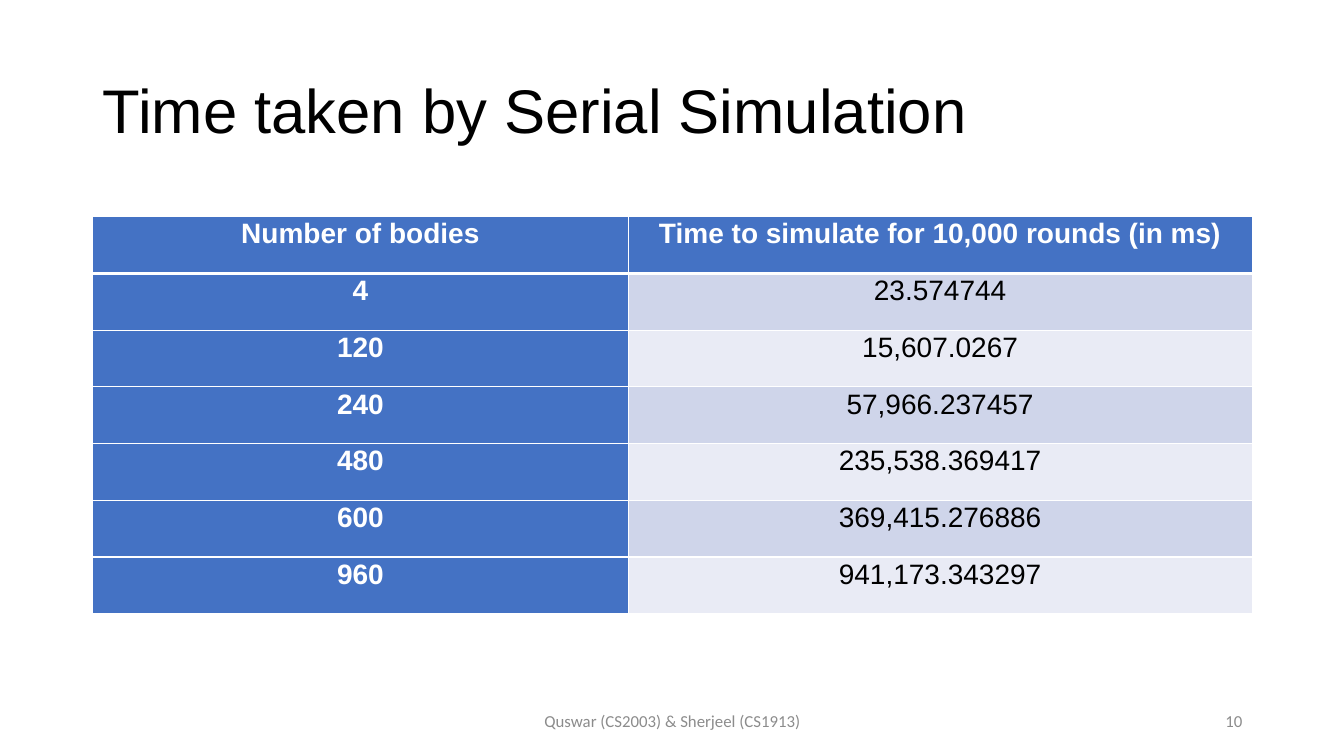
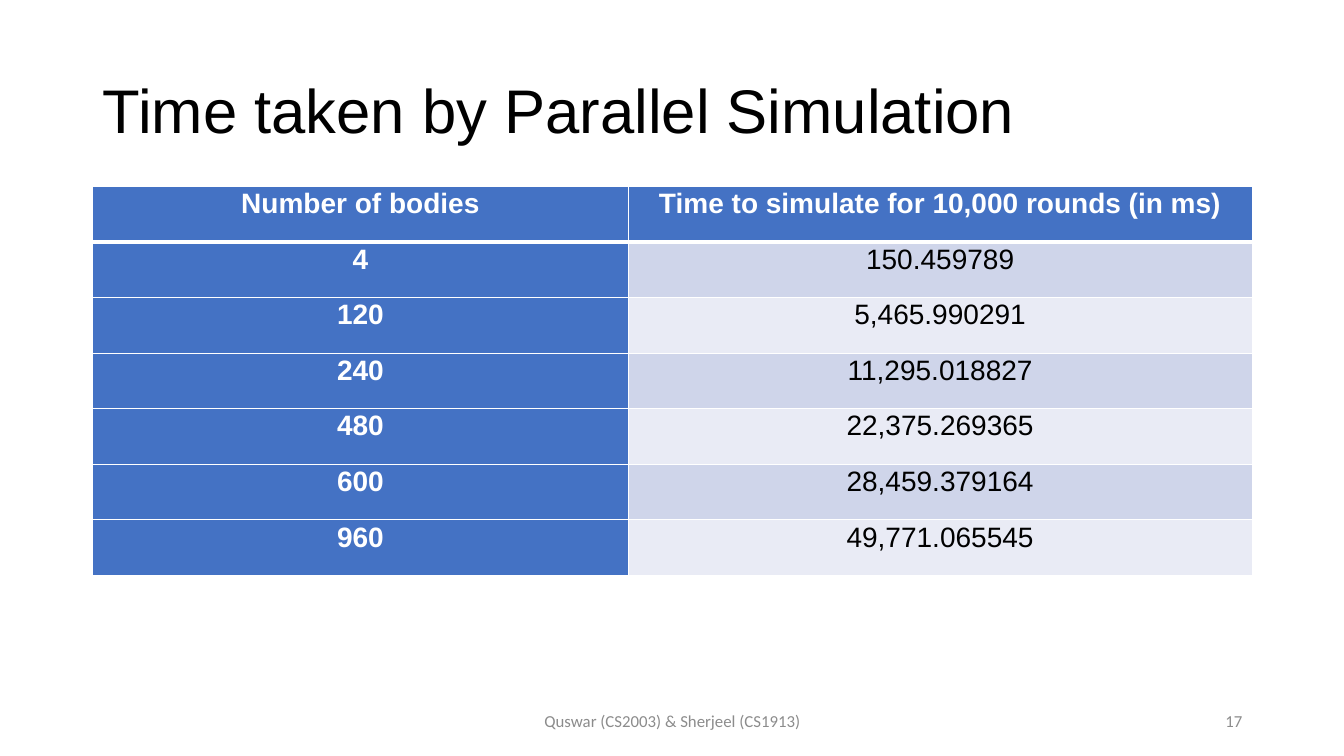
from lxml.etree import SubElement
from pptx import Presentation
from pptx.dml.color import RGBColor
from pptx.enum.text import MSO_ANCHOR, PP_ALIGN
from pptx.oxml.ns import qn
from pptx.util import Inches, Pt

HEADINGS = ("Number of bodies", "Time to simulate for 10,000 rounds (in ms)")
BODY_COUNTS = ("4", "120", "240", "480", "600", "960")
SIMULATIONS = [
    {
        "title": "Time taken by Serial Simulation",
        "number": "10",
        "table_top": 2.15,
        "table_height": 3.94,
        "times": ("23.574744", "15,607.0267", "57,966.237457",
                  "235,538.369417", "369,415.276886", "941,173.343297"),
    },
    {
        "title": "Time taken by Parallel Simulation",
        "number": "17",
        "table_top": 1.85,
        "table_height": 3.86,
        "times": ("150.459789", "5,465.990291", "11,295.018827",
                  "22,375.269365", "28,459.379164", "49,771.065545"),
    },
]
AUTHORS = "Quswar (CS2003) & Sherjeel (CS1913)"

BLACK, WHITE, GREY = "000000", "FFFFFF", "8C8C8C"
BLUE = "4472C4"
BANDS = ("CFD5EA", "E9EBF5")
LEFT, CONTENT_WIDTH = 0.92, 11.5
COLUMN_WIDTHS = (5.31, 6.19)
FOOTER_TOP, FOOTER_HEIGHT = 6.95, 0.4


def color(hex_value):
    """Turn a hex string into a colour."""
    return RGBColor.from_string(hex_value)


def write(frame, text, size, font, ink, align, bold=False, spacing=None):
    """Put one formatted paragraph into a text frame."""
    frame.word_wrap = True
    paragraph = frame.paragraphs[0]
    paragraph.text = text
    paragraph.alignment = align
    paragraph.line_spacing = spacing
    paragraph.font.size = Pt(size)
    paragraph.font.name = font
    paragraph.font.bold = bold
    paragraph.font.color.rgb = color(ink)


def add_title(slide, text):
    """Place and format the title placeholder."""
    title = slide.shapes.title
    title.left, title.top = Inches(LEFT), Inches(0.4)
    title.width, title.height = Inches(CONTENT_WIDTH), Inches(1.45)
    title.text_frame.vertical_anchor = MSO_ANCHOR.MIDDLE
    write(title.text_frame, text, 44, "Arial", BLACK, PP_ALIGN.LEFT, spacing=0.9)


def add_footer(slide, text, left, width, align):
    """Add one grey text on the footer line."""
    box = slide.shapes.add_textbox(Inches(left), Inches(FOOTER_TOP),
                                   Inches(width), Inches(FOOTER_HEIGHT))
    box.text_frame.vertical_anchor = MSO_ANCHOR.MIDDLE
    write(box.text_frame, text, 12, "Calibri", GREY, align)


def add_borders(cell, top, bottom):
    """Draw white cell borders; top and bottom widths are in points."""
    properties = cell._tc.get_or_add_tcPr()
    for side, width in (("L", 1), ("R", 1), ("T", top), ("B", bottom)):
        line = SubElement(properties, qn(f"a:ln{side}"), w=str(Pt(width)))
        fill = SubElement(line, qn("a:solidFill"))
        SubElement(fill, qn("a:srgbClr"), val=WHITE)


def format_cell(cell, text, row, column):
    """Fill a cell by its row and column: blue headings, banded times."""
    heading = row == 0 or column == 0
    cell.margin_left = cell.margin_right = Inches(0.07)
    cell.margin_top = cell.margin_bottom = 0
    add_borders(cell, top=3 if row == 1 else 1, bottom=3 if row == 0 else 1)
    cell.fill.solid()
    cell.fill.fore_color.rgb = color(BLUE if heading else BANDS[(row - 1) % 2])
    write(cell.text_frame, text, 20, "Arial", WHITE if heading else BLACK,
          PP_ALIGN.CENTER, bold=heading, spacing=1.06)


def add_times(slide, times, top, height):
    """Add the table of simulation times with equal rows."""
    rows = [HEADINGS, *zip(BODY_COUNTS, times)]
    table = slide.shapes.add_table(len(rows), len(HEADINGS), Inches(LEFT), Inches(top),
                                   Inches(CONTENT_WIDTH), Inches(height)).table
    table.first_col = True
    for column, width in zip(table.columns, COLUMN_WIDTHS):
        column.width = Inches(width)
    for row, texts in enumerate(rows):
        for column, text in enumerate(texts):
            format_cell(table.cell(row, column), text, row, column)


def add_simulation(presentation, simulation):
    """Build one slide of results."""
    slide = presentation.slides.add_slide(presentation.slide_layouts[5])
    add_title(slide, simulation["title"])
    add_times(slide, simulation["times"], simulation["table_top"],
              simulation["table_height"])
    add_footer(slide, AUTHORS, 4.42, 4.5, PP_ALIGN.CENTER)
    add_footer(slide, simulation["number"], 9.42, 3, PP_ALIGN.RIGHT)


presentation = Presentation()
presentation.slide_width, presentation.slide_height = Inches(13.33), Inches(7.5)
for simulation in SIMULATIONS:
    add_simulation(presentation, simulation)
presentation.save("out.pptx")
